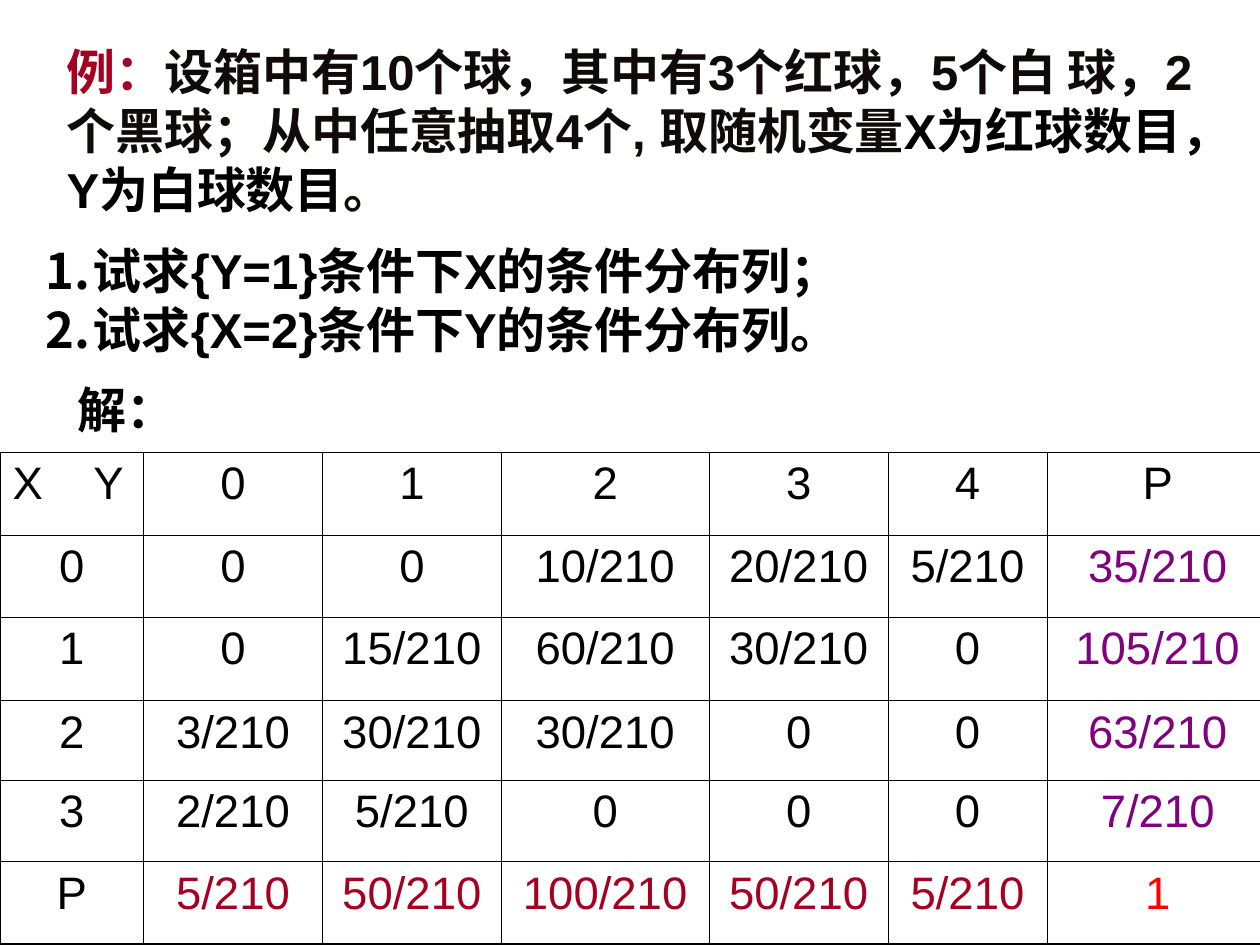
from lxml import etree
from pptx import Presentation
from pptx.dml.color import RGBColor
from pptx.enum.text import MSO_AUTO_SIZE, PP_ALIGN
from pptx.oxml.ns import qn
from pptx.util import Inches, Pt

CENTER, LEFT = PP_ALIGN.CENTER, PP_ALIGN.LEFT
FIT_SHAPE = MSO_AUTO_SIZE.SHAPE_TO_FIT_TEXT

FONT = "Arial"
BLACK = RGBColor(0x00, 0x00, 0x00)
INK = RGBColor(0x0E, 0x0B, 0x08)
CRIMSON = RGBColor(0xA5, 0x00, 0x21)
PURPLE = RGBColor(0x80, 0x00, 0x80)
RED = RGBColor(0xFF, 0x00, 0x00)
BODY_SIZE, TABLE_SIZE = 28, 26
INNER_LINE, OUTER_LINE = 0.45, 1.08

PROBLEM = [
    ("例：", CRIMSON),
    ("设箱中有10个球，其中有3个红球，5个白 球，2个黑球；从中任意抽取4个, 取随机变量", INK),
    ("X为红球数目，Y为白球数目", BLACK),
    ("。", INK),
]
QUESTIONS = ["试求{Y=1}条件下X的条件分布列；", "试求{X=2}条件下Y的条件分布列。"]
COLUMN_WIDTHS = [1.14, 1.42, 1.42, 1.65, 1.42, 1.26, 1.76]
ROW_HEIGHTS = [0.66, 0.65, 0.66, 0.63, 0.65, 0.65]
DISTRIBUTION = [
    ["X\tY", "0", "1", "2", "3", "4", "P"],
    ["0", "0", "0", "10/210", "20/210", "5/210", "35/210"],
    ["1", "0", "15/210", "60/210", "30/210", "0", "105/210"],
    ["2", "3/210", "30/210", "30/210", "0", "0", "63/210"],
    ["3", "2/210", "5/210", "0", "0", "0", "7/210"],
    ["P", "5/210", "50/210", "100/210", "50/210", "5/210", "1"],
]


def add_run(paragraph, text, color, size, bold):
    """Append one formatted run to a paragraph."""
    run = paragraph.add_run()
    run.text = text
    run.font.name, run.font.size, run.font.bold = FONT, Pt(size), bold
    run.font.color.rgb = color


def number_paragraph(paragraph):
    """Give a paragraph a hanging automatic number."""
    properties = paragraph._p.get_or_add_pPr()
    properties.set("marL", str(Inches(0.38)))
    properties.set("indent", str(-Inches(0.38)))
    color = etree.SubElement(properties, qn("a:buClr"))
    etree.SubElement(color, qn("a:srgbClr"), val=str(BLACK))
    etree.SubElement(properties, qn("a:buAutoNum"), type="arabicPeriod")


def add_text(slide, box, paragraphs, wrap=False, numbered=False):
    """Place bold paragraphs, each a list of (text, color) runs, in a box."""
    frame = slide.shapes.add_textbox(*map(Inches, box)).text_frame
    frame.word_wrap = wrap
    frame.auto_size = FIT_SHAPE
    for index, runs in enumerate(paragraphs):
        paragraph = frame.add_paragraph() if index else frame.paragraphs[0]
        if numbered:
            number_paragraph(paragraph)
        for text, color in runs:
            add_run(paragraph, text, color, BODY_SIZE, True)


def set_borders(cell, outer_sides):
    """Draw the four cell borders, heavier on the table's outer sides."""
    properties = cell._tc.get_or_add_tcPr()
    for side in "LRTB":
        width = OUTER_LINE if side in outer_sides else INNER_LINE
        line = etree.SubElement(properties, qn(f"a:ln{side}"), w=str(Pt(width)))
        fill = etree.SubElement(line, qn("a:solidFill"))
        etree.SubElement(fill, qn("a:srgbClr"), val=str(BLACK))


def cell_color(row, column, last_row, last_column):
    """Return the text color: marginals and their total stand out."""
    if row == last_row and column == last_column:
        return RED
    if row == last_row and column:
        return CRIMSON
    if column == last_column and row:
        return PURPLE
    return BLACK


def add_corner_tab(paragraph):
    """Separate the two variable names of the corner cell by a tab stop."""
    properties = paragraph._p.get_or_add_pPr()
    stops = etree.SubElement(properties, qn("a:tabLst"))
    etree.SubElement(stops, qn("a:tab"), pos=str(Inches(0.64)), algn="l")


def add_distribution(slide, left, top):
    """Place the joint distribution table with its marginals."""
    last_row, last_column = len(ROW_HEIGHTS) - 1, len(COLUMN_WIDTHS) - 1
    table = slide.shapes.add_table(
        len(ROW_HEIGHTS), len(COLUMN_WIDTHS), Inches(left), Inches(top),
        Inches(sum(COLUMN_WIDTHS)), Inches(sum(ROW_HEIGHTS))).table
    table.first_row = table.horz_banding = False
    for column, width in zip(table.columns, COLUMN_WIDTHS):
        column.width = Inches(width)
    for row, height in zip(table.rows, ROW_HEIGHTS):
        row.height = Inches(height)
    for row, values in enumerate(DISTRIBUTION):
        for column, text in enumerate(values):
            cell = table.cell(row, column)
            edges = {"L": column == 0, "R": column == last_column,
                     "T": row == 0, "B": row == last_row}
            set_borders(cell, [side for side, outer in edges.items() if outer])
            cell.fill.background()
            paragraph = cell.text_frame.paragraphs[0]
            is_corner = row == column == 0
            paragraph.alignment = LEFT if is_corner else CENTER
            if is_corner:
                add_corner_tab(paragraph)
            color = cell_color(row, column, last_row, last_column)
            add_run(paragraph, text, color, TABLE_SIZE, False)


def main():
    """Build the slide and save it."""
    presentation = Presentation()
    presentation.slide_width, presentation.slide_height = Inches(10), Inches(7.5)
    slide = presentation.slides.add_slide(presentation.slide_layouts[6])
    add_text(slide, (0.43, 0.28, 9.29, 1.5), [PROBLEM], wrap=True)
    add_text(slide, (0.26, 1.86, 6.87, 1.04),
             [[(question, BLACK)] for question in QUESTIONS], numbered=True)
    add_text(slide, (0.52, 2.96, 0.97, 0.57), [[("解：", BLACK)]])
    add_distribution(slide, 0, 3.59)
    presentation.save("out.pptx")


if __name__ == "__main__":
    main()
